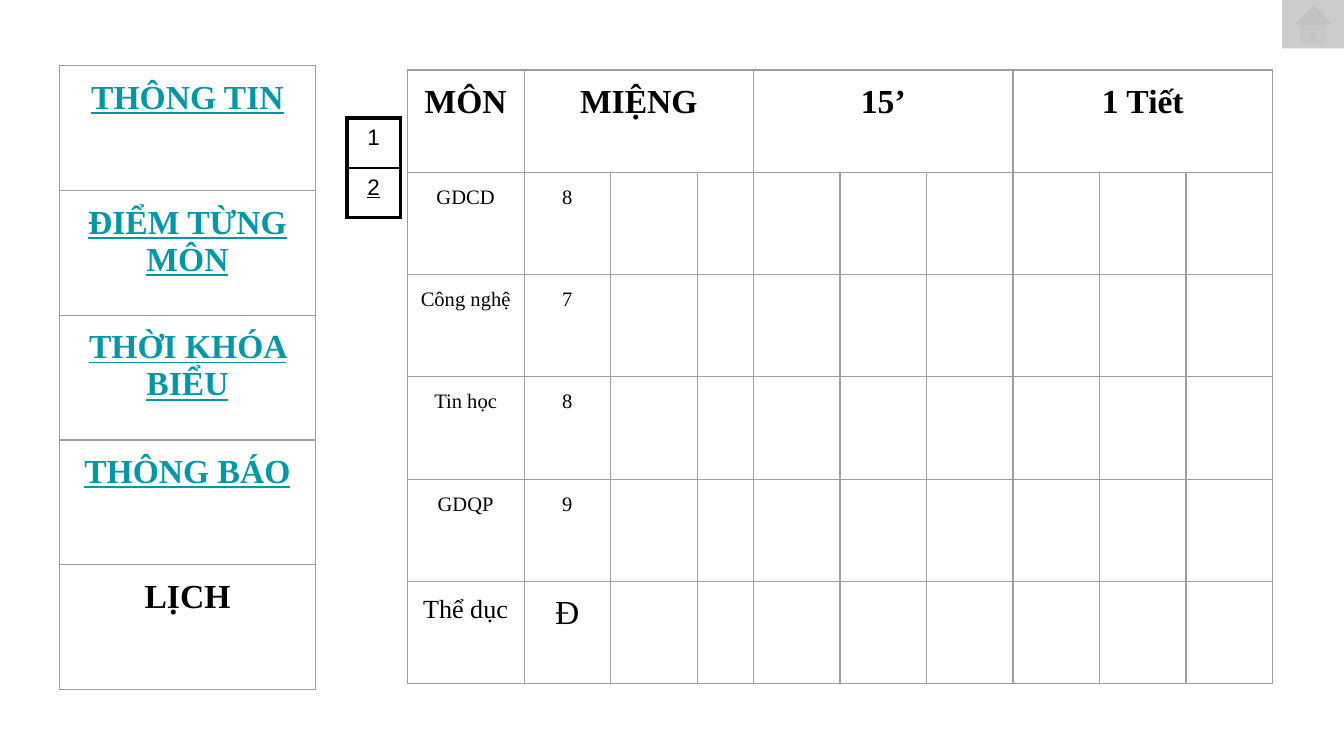
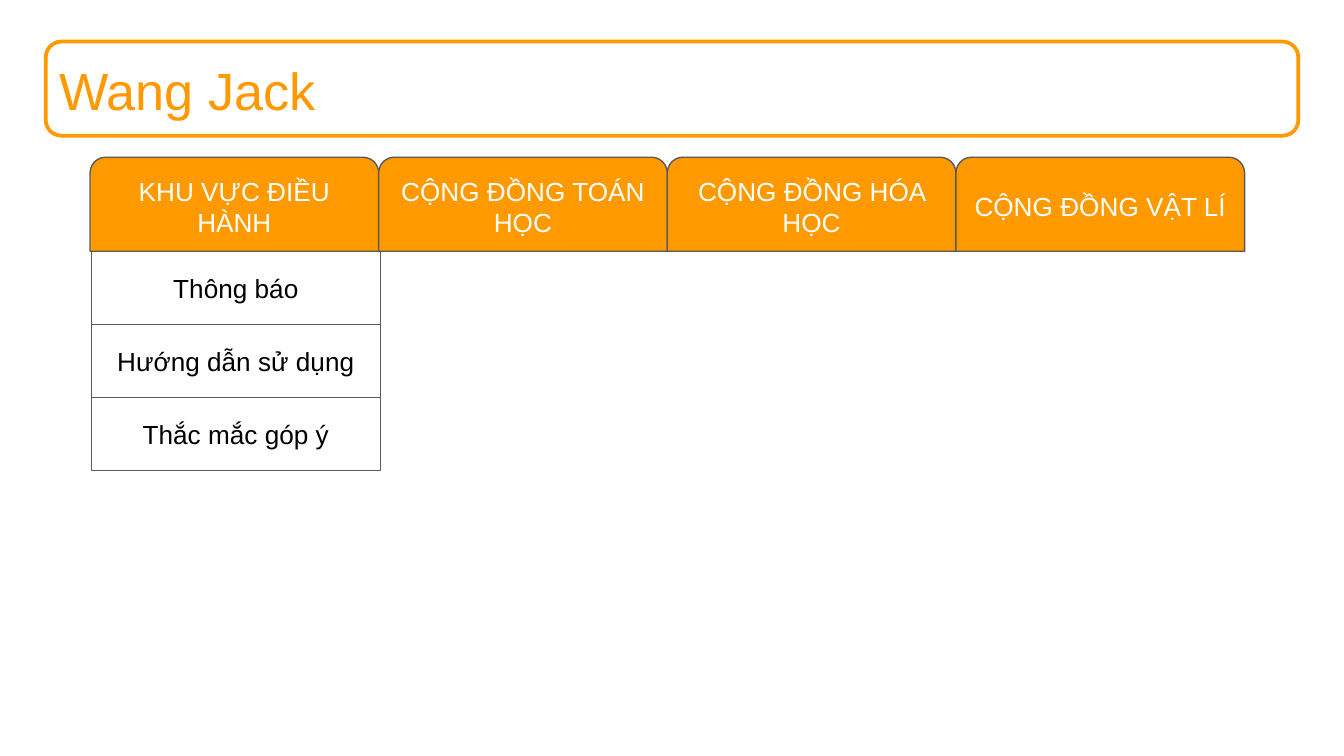
from dataclasses import dataclass

from lxml import etree
from pptx import Presentation
from pptx.dml.color import RGBColor
from pptx.enum.shapes import MSO_SHAPE
from pptx.enum.text import MSO_ANCHOR, MSO_AUTO_SIZE, PP_ALIGN
from pptx.oxml.ns import qn
from pptx.util import Inches, Pt

HOME_BUTTON = MSO_SHAPE.ACTION_BUTTON_HOME
RECTANGLE = MSO_SHAPE.RECTANGLE
ROUNDED = MSO_SHAPE.ROUNDED_RECTANGLE
TAB = MSO_SHAPE.ROUND_2_SAME_RECTANGLE
LEFT, CENTER = PP_ALIGN.LEFT, PP_ALIGN.CENTER
TOP, MIDDLE = MSO_ANCHOR.TOP, MSO_ANCHOR.MIDDLE
NO_AUTOFIT = MSO_AUTO_SIZE.NONE
SLIDE_WIDTH = 10
SLIDE_HEIGHT = SLIDE_WIDTH * 9 / 16


@dataclass(frozen=True)
class Theme:
    sans: str = "Arial"
    serif: str = "Times New Roman"
    ink: str = "000000"
    paper: str = "FFFFFF"
    accent: str = "FF9900"
    link: str = "0097A7"
    outline: str = "595959"
    grid: str = "9E9E9E"
    title: int = 28
    heading: int = 18
    label: int = 14
    page: int = 12
    small: int = 11
    hairline: float = 0.75
    rule: float = 1
    frame: float = 2
    heavy: float = 2.25
    corner: float = 0.167


@dataclass(frozen=True)
class Box:
    left: float
    top: float
    width: float
    height: float

    def inches(self):
        return [Inches(v) for v in (self.left, self.top, self.width, self.height)]

    def columns(self, count):
        step = self.width / count
        return [Box(self.left + i * step, self.top, step, self.height) for i in range(count)]

    def rows(self, count):
        step = self.height / count
        return [Box(self.left, self.top + i * step, self.width, step) for i in range(count)]


THEME = Theme()


def rgb(color):
    return RGBColor.from_string(color)


def write(frame, text, size=THEME.label, font=THEME.sans, color=THEME.ink,
          bold=False, underline=False, align=CENTER):
    paragraph = frame.paragraphs[0]
    paragraph.alignment = align
    run = paragraph.add_run()
    run.text = text
    run.font.size = Pt(size)
    run.font.name = font
    run.font.color.rgb = rgb(color)
    run.font.bold = bold
    run.font.underline = underline


def border_cell(cell, color, widths):
    properties = cell._tc.get_or_add_tcPr()
    for position, (side, width) in enumerate(zip("LRTB", widths)):
        line = etree.Element(qn(f"a:ln{side}"), w=str(Pt(width)))
        fill = etree.SubElement(line, qn("a:solidFill"))
        etree.SubElement(fill, qn("a:srgbClr"), val=color)
        properties.insert(position, line)


def add_grid(slide, box, widths, row_count, inset, color, line_widths):
    grid = slide.shapes.add_table(row_count, len(widths), *box.inches()).table
    grid.first_row = False
    grid.horz_banding = False
    for column, width in zip(grid.columns, widths):
        column.width = Inches(width)
    for index, row in enumerate(grid.rows):
        row.height = Inches(box.height / row_count)
        for cell in row.cells:
            cell.fill.background()
            cell.margin_left = cell.margin_right = Inches(0.1)
            cell.margin_top = cell.margin_bottom = Inches(inset)
            border_cell(cell, color, line_widths(index))
    return grid


def thin_lines(row):
    return [THEME.hairline] * 4


def page_lines(row):
    inner, outer = THEME.rule, THEME.heavy
    return [outer, outer] + ([outer, inner] if row == 0 else [inner, outer])


def add_block(slide, kind, box, fill=None, line=None, weight=THEME.hairline,
              text=None, color=THEME.ink):
    block = slide.shapes.add_shape(kind, *box.inches())
    block.shadow.inherit = False
    if fill:
        block.fill.solid()
        block.fill.fore_color.rgb = rgb(fill)
    else:
        block.fill.background()
    if line:
        block.line.color.rgb = rgb(line)
        block.line.width = Pt(weight)
    else:
        block.line.fill.background()
    if text:
        frame = block.text_frame
        frame.word_wrap = True
        frame.vertical_anchor = MIDDLE
        frame.margin_left = frame.margin_right = Inches(0.1)
        frame.margin_top = frame.margin_bottom = Inches(0.1)
        write(frame, text, color=color)
    return block


def score_table(slide, box):
    groups = ["MIỆNG", "15’", "1 Tiết"]
    scores = [("GDCD", "8"), ("Công nghệ", "7"), ("Tin học", "8"),
              ("GDQP", "9"), ("Thể dục", "Đ")]
    subject_width, narrow = 0.87, 0.42
    mark = (box.width - subject_width - narrow) / 8
    widths = [subject_width, mark, mark, narrow] + [mark] * 6
    grid = add_grid(slide, box, widths, len(scores) + 1, 0.1, THEME.grid, thin_lines)
    heading = dict(size=THEME.heading, font=THEME.serif, bold=True)
    write(grid.cell(0, 0).text_frame, "MÔN", **heading)
    for index, group in enumerate(groups):
        first = 1 + 3 * index
        grid.cell(0, first).merge(grid.cell(0, first + 2))
        write(grid.cell(0, first).text_frame, group, **heading)
    for row, (subject, score) in enumerate(scores, 1):
        last = row == len(scores)
        sizes = (THEME.label, THEME.heading) if last else (THEME.small, THEME.small)
        for column, (text, size) in enumerate(zip((subject, score), sizes)):
            write(grid.cell(row, column).text_frame, text, size=size, font=THEME.serif)


def page_switch(slide, box):
    pages = add_grid(slide, box, [box.width], 2, 0.05, THEME.ink, page_lines)
    write(pages.cell(0, 0).text_frame, "1", size=THEME.page)
    write(pages.cell(1, 0).text_frame, "2", size=THEME.page, underline=True)


def home_button(slide, box):
    button = add_block(slide, HOME_BUTTON, box, fill=THEME.outline)
    color = button._element.spPr.find(f"{qn('a:solidFill')}/{qn('a:srgbClr')}")
    etree.SubElement(color, qn("a:alpha"), val="30000")


def side_menu(slide, box):
    entries = ["THÔNG TIN", "ĐIỂM TỪNG MÔN", "THỜI KHÓA BIỂU", "THÔNG BÁO", "LỊCH"]
    menu = add_grid(slide, box, [box.width], len(entries), 0.1, THEME.grid, thin_lines)
    for row, entry in enumerate(entries):
        linked = entry != "LỊCH"
        write(menu.cell(row, 0).text_frame, entry, size=THEME.heading, font=THEME.serif,
              color=THEME.link if linked else THEME.ink, bold=True, underline=linked)


def name_banner(slide, box):
    banner = add_block(slide, ROUNDED, box, line=THEME.accent, weight=THEME.frame)
    banner.adjustments[0] = THEME.corner
    title = slide.shapes.title
    title_box = Box(box.left, box.top + 0.07, 4.31, 0.57)
    title.left, title.top, title.width, title.height = title_box.inches()
    frame = title.text_frame
    frame.auto_size = NO_AUTOFIT
    frame.word_wrap = True
    frame.vertical_anchor = TOP
    write(frame, "Wang Jack", size=THEME.title, color=THEME.accent, align=LEFT)


def community_tabs(slide, box):
    communities = ["KHU VỰC ĐIỀU HÀNH", "CỘNG ĐỒNG TOÁN HỌC",
                   "CỘNG ĐỒNG HÓA HỌC", "CỘNG ĐỒNG VẬT LÍ"]
    for community, place in zip(communities, box.columns(len(communities))):
        tab = add_block(slide, TAB, place, fill=THEME.accent, line=THEME.outline,
                        text=community, color=THEME.paper)
        tab.adjustments[0] = THEME.corner
        tab.adjustments[1] = 0


def admin_menu(slide, box):
    entries = ["Thông báo", "Hướng dẫn sử dụng", "Thắc mắc góp ý"]
    for entry, place in zip(entries, box.rows(len(entries))):
        add_block(slide, RECTANGLE, place, fill=THEME.paper, line=THEME.outline, text=entry)


def scores_slide(deck):
    slide = deck.slides.add_slide(deck.slide_layouts[6])
    score_table(slide, Box(3.03, 0.52, 6.44, 4.57))
    page_switch(slide, Box(2.58, 0.88, 0.4, 0.74))
    home_button(slide, Box(9.54, 0, 0.46, 0.36))
    side_menu(slide, Box(0.44, 0.49, 1.91, 4.64))


def community_slide(deck):
    slide = deck.slides.add_slide(deck.slide_layouts[5])
    name_banner(slide, Box(0.34, 0.31, 9.32, 0.7))
    community_tabs(slide, Box(0.67, 1.17, 8.59, 0.7))
    admin_menu(slide, Box(0.68, 1.87, 2.15, 1.63))


def main():
    deck = Presentation()
    deck.slide_width = Inches(SLIDE_WIDTH)
    deck.slide_height = Inches(SLIDE_HEIGHT)
    scores_slide(deck)
    community_slide(deck)
    deck.save("out.pptx")


if __name__ == "__main__":
    main()
